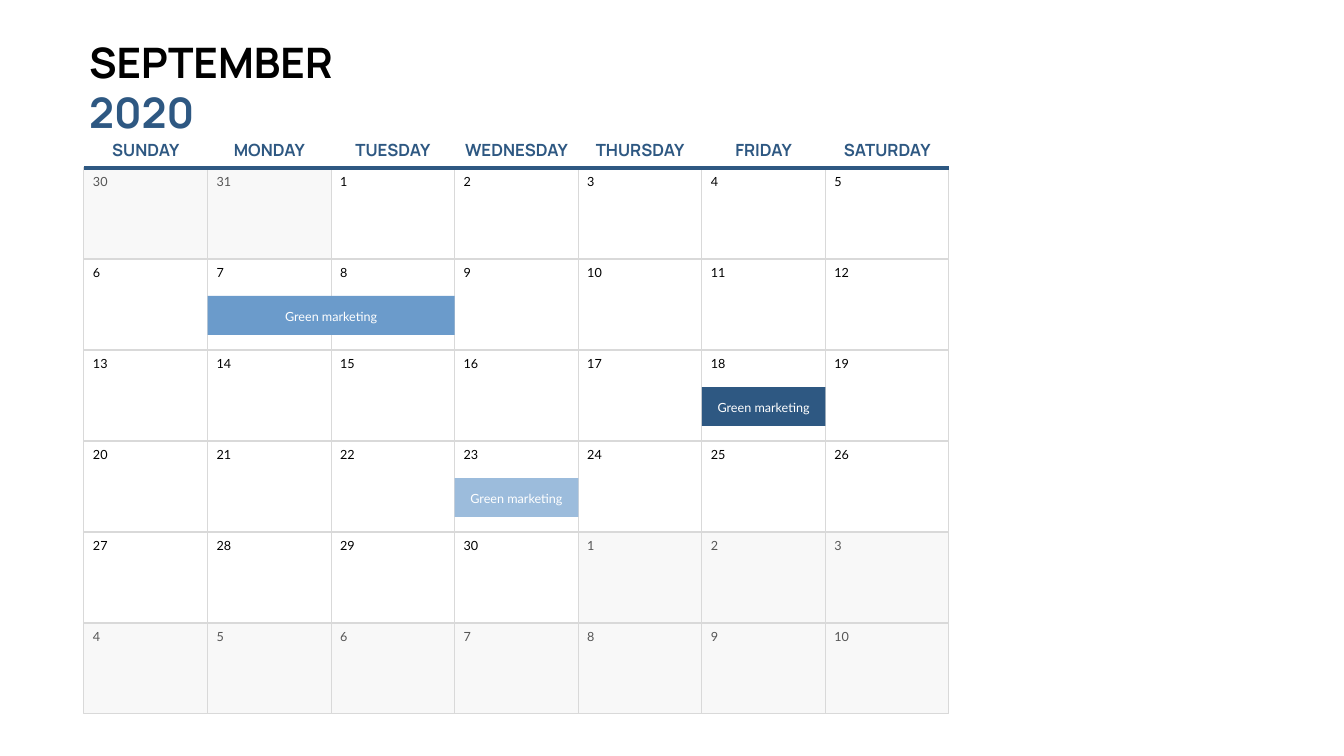
"""Build a one-slide calendar for September 2020."""
from dataclasses import dataclass

from lxml.etree import SubElement
from pptx import Presentation
from pptx.dml.color import RGBColor
from pptx.enum.shapes import MSO_CONNECTOR, MSO_SHAPE
from pptx.enum.text import MSO_ANCHOR, MSO_AUTO_SIZE, PP_ALIGN
from pptx.oxml.ns import qn
from pptx.util import Emu, Pt

MONTH, YEAR = "SEPTEMBER ", "2020"
NAMES = ["SUNDAY", "MONDAY", "TUESDAY", "WEDNESDAY", "THURSDAY", "FRIDAY", "SATURDAY"]
BEFORE, DAYS, AFTER = [30, 31], list(range(1, 31)), list(range(1, 11))
EVENTS = [
    ("Green marketing", 7, 2, "6B9BCB"),
    ("Green marketing", 23, 1, "9CBCDC"),
    ("Green marketing", 18, 1, "2E5882"),
]


@dataclass(frozen=True)
class Theme:
    """Colours, fonts and type sizes."""
    ink: str = "000000"
    blue: str = "2E5882"
    mute: str = "565656"
    grid: str = "D9D9D9"
    pale: str = "F2F2F2"
    white: str = "FFFFFF"
    head: str = "Manrope"
    body: str = "Lato"
    title: int = 60
    name: int = 24
    text: int = 18


LOOK = Theme()
LEFT, TOP, WIDE, ROW = 84, 168, 865, 91
COL = WIDE / len(NAMES)


def px(n):
    """Turn pixels into EMU."""
    return Emu(round(n * 914400 / 50.4))


def area(x, y, w, h):
    """Turn a pixel box into EMU lengths."""
    return [px(n) for n in (x, y, w, h)]


def spot(i):
    """Give the left and top of cell i."""
    row, col = divmod(i, len(NAMES))
    return LEFT + col * COL, TOP + row * ROW


def write(para, text, font, size, color, bold=False):
    """Add one formatted run."""
    run = para.add_run()
    run.text = text
    run.font.name, run.font.size, run.font.bold = font, Pt(size), bold
    run.font.color.rgb = RGBColor.from_string(color)


def label(shapes, box, text, font, size, color, align=PP_ALIGN.CENTER, bold=False):
    """Add a one-line text box."""
    frame = shapes.add_textbox(*area(*box)).text_frame
    frame.word_wrap = False
    frame.vertical_anchor = MSO_ANCHOR.MIDDLE
    frame.paragraphs[0].alignment = align
    write(frame.paragraphs[0], text, font, size, color, bold)


def block(shapes, box, color, line=None, alpha=None):
    """Add a filled rectangle."""
    rect = shapes.add_shape(MSO_SHAPE.RECTANGLE, *area(*box))
    rect.shadow.inherit = False
    rect.fill.solid()
    rect.fill.fore_color.rgb = RGBColor.from_string(color)
    if line:
        rect.line.color.rgb = RGBColor.from_string(line)
        rect.line.width = Pt(1.5)
    else:
        rect.line.fill.background()
    if alpha:
        tint = rect.element.xpath("./p:spPr/a:solidFill/a:srgbClr")[0]
        SubElement(tint, qn("a:alpha")).set("val", str(alpha * 1000))


def heading(title):
    """Place the month and year in the title."""
    title.left, title.top, title.width, title.height = area(LEFT, 34, 364, 56)
    frame = title.text_frame
    frame.auto_size = MSO_AUTO_SIZE.NONE
    frame.word_wrap = True
    frame.margin_right = px(30)
    frame.vertical_anchor = MSO_ANCHOR.TOP
    para = frame.paragraphs[0]
    para.alignment = PP_ALIGN.LEFT
    write(para, MONTH, LOOK.head, LOOK.title, LOOK.ink, True)
    write(para, YEAR, LOOK.head, LOOK.title, LOOK.blue, True)


def grid(shapes):
    """Draw the day cells, the weekday names and the rule."""
    for i, day in enumerate(BEFORE + DAYS + AFTER):
        x, y = spot(i)
        now = 0 <= i - len(BEFORE) < len(DAYS)
        fill, ink, alpha = (LOOK.white, LOOK.ink, None) if now else (LOOK.pale, LOOK.mute, 50)
        block(shapes, (x, y, COL, ROW), fill, LOOK.grid, alpha)
        wide = 18 if day < 10 else 25
        label(shapes, (x + 4, y + 3, wide, 20), str(day), LOOK.body, LOOK.text, ink, PP_ALIGN.LEFT)
    for i, name in enumerate(NAMES):
        box = (LEFT + i * COL, 137, COL, 25)
        label(shapes, box, name, LOOK.head, LOOK.name, LOOK.blue, bold=True)
    rule = shapes.add_connector(
        MSO_CONNECTOR.STRAIGHT, px(LEFT), px(TOP), px(LEFT + WIDE), px(TOP))
    rule.line.color.rgb = RGBColor.from_string(LOOK.blue)
    rule.line.width = Pt(4.5)
    SubElement(rule.element.spPr, qn("a:effectLst"))


def event(shapes, text, day, span, color):
    """Draw one event bar across its days."""
    x, y = spot(len(BEFORE) + day - 1)
    wide = span * COL
    group = shapes.add_group_shape().shapes
    block(group, (x, y + 37, wide, 39), color)
    label(group, (x + 8, y + 47, wide - 16, 20), text, LOOK.body, LOOK.text, LOOK.white)


def main():
    """Build and save the calendar."""
    deck = Presentation()
    deck.slide_width, deck.slide_height = px(1344), px(756)
    slide = deck.slides.add_slide(deck.slide_layouts[5])
    heading(slide.shapes.title)
    grid(slide.shapes)
    for item in EVENTS:
        event(slide.shapes, *item)
    deck.save("out.pptx")


if __name__ == "__main__":
    main()
